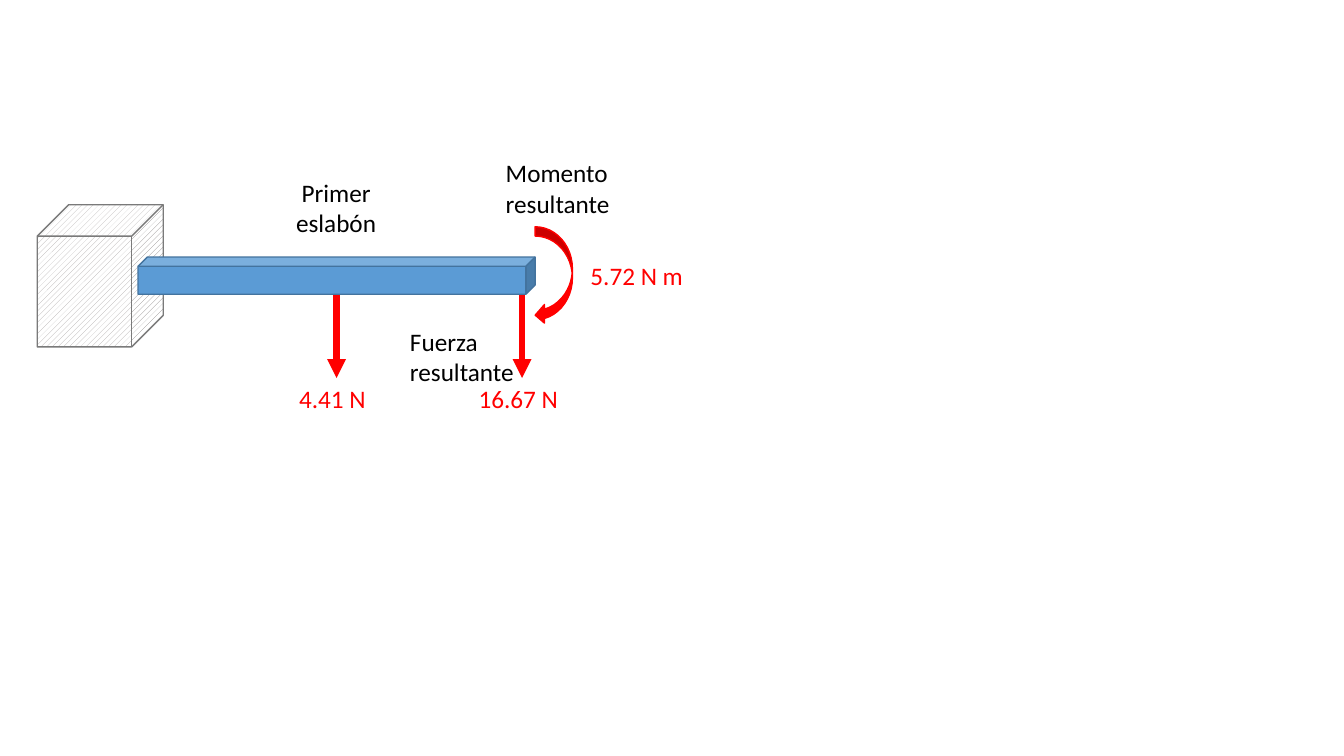
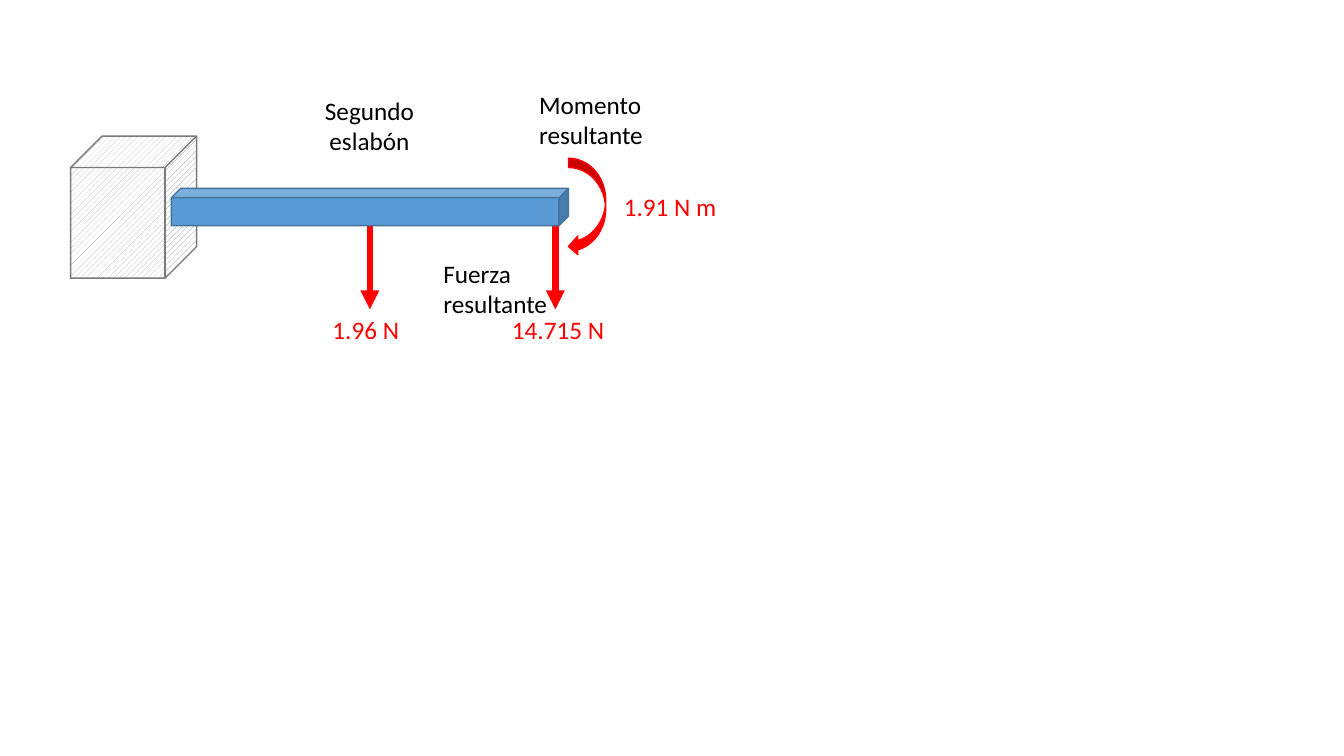
from dataclasses import dataclass

from lxml import etree
from pptx import Presentation
from pptx.dml.color import RGBColor
from pptx.enum.dml import MSO_PATTERN
from pptx.enum.shapes import MSO_CONNECTOR, MSO_SHAPE
from pptx.enum.text import MSO_AUTO_SIZE, PP_ALIGN
from pptx.oxml.ns import qn
from pptx.util import Pt

CUBE, CURVED_ARROW = MSO_SHAPE.CUBE, MSO_SHAPE.CURVED_UP_ARROW
STRAIGHT = MSO_CONNECTOR.STRAIGHT
HATCH = MSO_PATTERN.WIDE_UPWARD_DIAGONAL
FIT = MSO_AUTO_SIZE.SHAPE_TO_FIT_TEXT
LEFT, CENTER = PP_ALIGN.LEFT, PP_ALIGN.CENTER


@dataclass(frozen=True)
class Theme:
    font: str = "Calibri"
    size: float = 18
    outline: float = 1
    force_width: float = 4.5
    text: RGBColor = RGBColor(0, 0, 0)
    load: RGBColor = RGBColor(0xFF, 0, 0)
    beam: RGBColor = RGBColor(0x5B, 0x9B, 0xD5)
    beam_line: RGBColor = RGBColor(0x43, 0x73, 0x9E)
    wall: RGBColor = RGBColor(0xFF, 0xFF, 0xFF)
    wall_hatch: RGBColor = RGBColor(0xAF, 0xAB, 0xAB)
    wall_line: RGBColor = RGBColor(0x7A, 0x7A, 0x7A)


T = Theme()

# Content: one link of the arm per slide; origin is the wall's top left corner
LINKS = [
    dict(origin=(26.6, 146.2), name="Primer eslabón", name_y=-23,
         weight="4.41 N", force="16.67 N", force_w=76.3, moment="5.72 N m"),
    dict(origin=(50.4, 97.2), name="Segundo eslabón", name_y=-33,
         weight="1.96 N", force="14.715 N", force_w=85.7, moment="1.91 N m"),
]

# Geometry relative to the origin, in points
WALL = (0, 0, 90, 101.5)
BEAM = (72, 37.4, 283.7, 26.6)
MOMENT_ARROW = (334.1, 37.4, 69.8, 26.6)
WEIGHT_X, FORCE_X = 213.8, 346.3
FORCE_TOP, FORCE_END = 63.7, 123.8
TWO_LINES, ONE_LINE = 50.9, 29.1


def place(origin, box):
    x, y, w, h = box
    return [Pt(v) for v in (origin[0] + x, origin[1] + y, w, h)]


def add_solid(s, origin, kind, box, line):
    sp = s.shapes.add_shape(kind, *place(origin, box))
    sp.shadow.inherit = False
    sp.line.color.rgb = line
    sp.line.width = Pt(T.outline)
    return sp


def add_force(s, origin, x):
    x, top, end = origin[0] + x, origin[1] + FORCE_TOP, origin[1] + FORCE_END
    cx = s.shapes.add_connector(STRAIGHT, Pt(x), Pt(top), Pt(x), Pt(end))
    cx.line.color.rgb = T.load
    cx.line.width = Pt(T.force_width)
    etree.SubElement(cx.line._get_or_add_ln(), qn("a:tailEnd"), type="triangle")
    etree.SubElement(cx._element.spPr, qn("a:effectLst"))


def add_label(s, origin, box, lines, color=T.text, align=LEFT, wrap=True):
    tf = s.shapes.add_textbox(*place(origin, box)).text_frame
    tf.word_wrap = wrap
    tf.auto_size = FIT
    for i, line in enumerate(lines):
        p = tf.add_paragraph() if i else tf.paragraphs[0]
        p.alignment = align
        r = p.add_run()
        r.text = line
        for key, value in dict(name=T.font, size=Pt(T.size)).items():
            setattr(r.font, key, value)
        r.font.color.rgb = color


def draw_link(s, link):
    origin = link["origin"]

    # Hatched wall
    wall = add_solid(s, origin, CUBE, WALL, T.wall_line)
    wall.fill.patterned()
    wall.fill.pattern = HATCH
    wall.fill.fore_color.rgb = T.wall_hatch
    wall.fill.back_color.rgb = T.wall

    # Forces, with the beam over the wall
    for x in (WEIGHT_X, FORCE_X):
        add_force(s, origin, x)
    beam = add_solid(s, origin, CUBE, BEAM, T.beam_line)
    beam.fill.solid()
    beam.fill.fore_color.rgb = T.beam

    # Moment at the free end
    arrow = add_solid(s, origin, CURVED_ARROW, MOMENT_ARROW, T.load)
    arrow.fill.solid()
    arrow.fill.fore_color.rgb = T.load
    arrow.rotation = 90
    arrow._element.spPr.xfrm.set("flipV", "1")

    # Names
    add_label(s, origin, (164.2, link["name_y"], 98.6, TWO_LINES), [link["name"]], align=CENTER)
    add_label(s, origin, (259.2, 83.5, 89.3, TWO_LINES), ["Fuerza", "resultante"], wrap=False)
    add_label(s, origin, (327.6, -37.1, 105.8, TWO_LINES), ["Momento resultante"])

    # Values
    for key, x, y, w in (("weight", 180, FORCE_END, 76.3),
                         ("force", 308.2, FORCE_END, link["force_w"]),
                         ("moment", 388.1, 36, 90.7)):
        add_label(s, origin, (x, y, w, ONE_LINE), [link[key]], T.load)


def main():
    prs = Presentation()
    prs.slide_width, prs.slide_height = Pt(960), Pt(540)
    blank = prs.slide_layouts[6]
    for link in LINKS:
        draw_link(prs.slides.add_slide(blank), link)
    prs.save("out.pptx")


if __name__ == "__main__":
    main()
